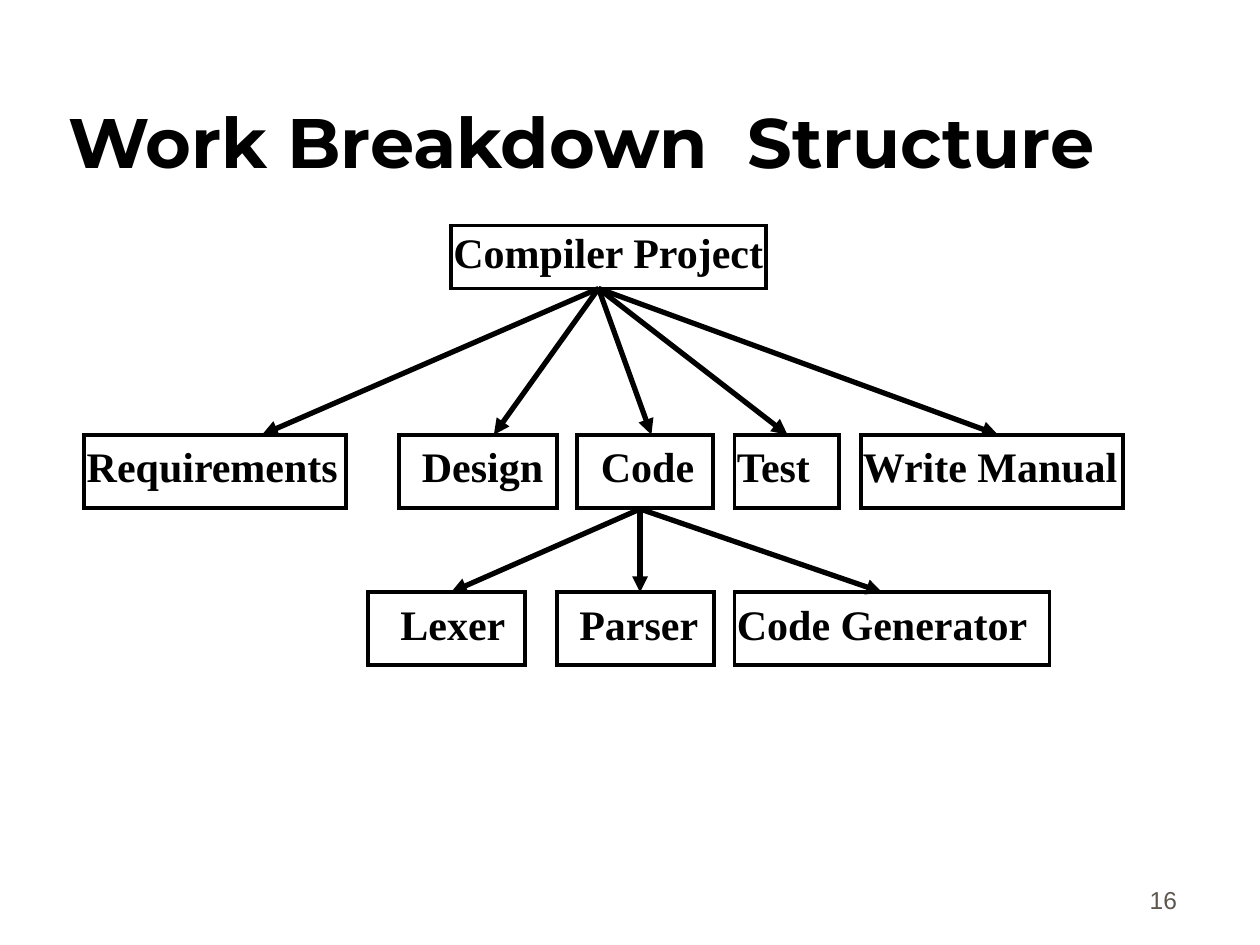
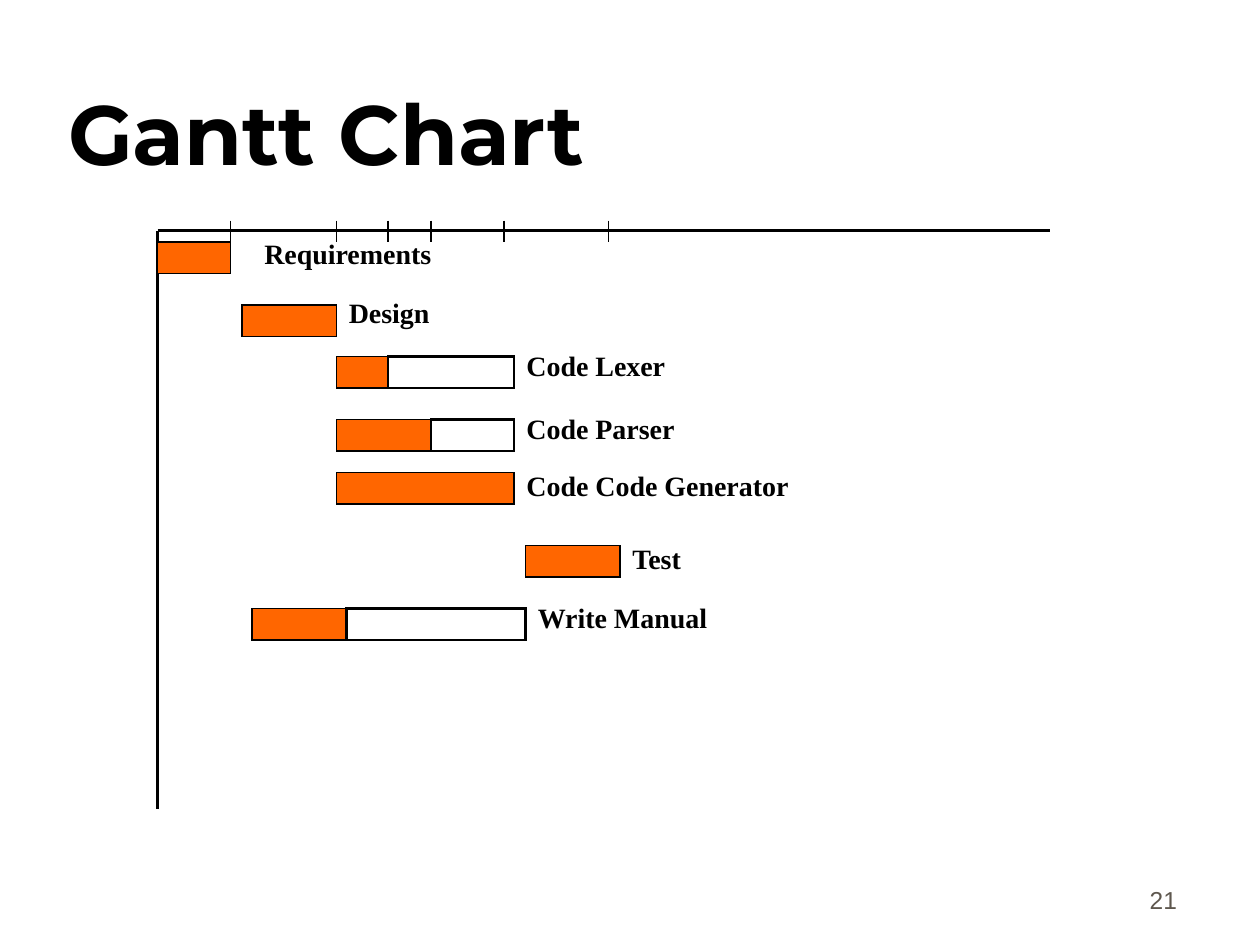
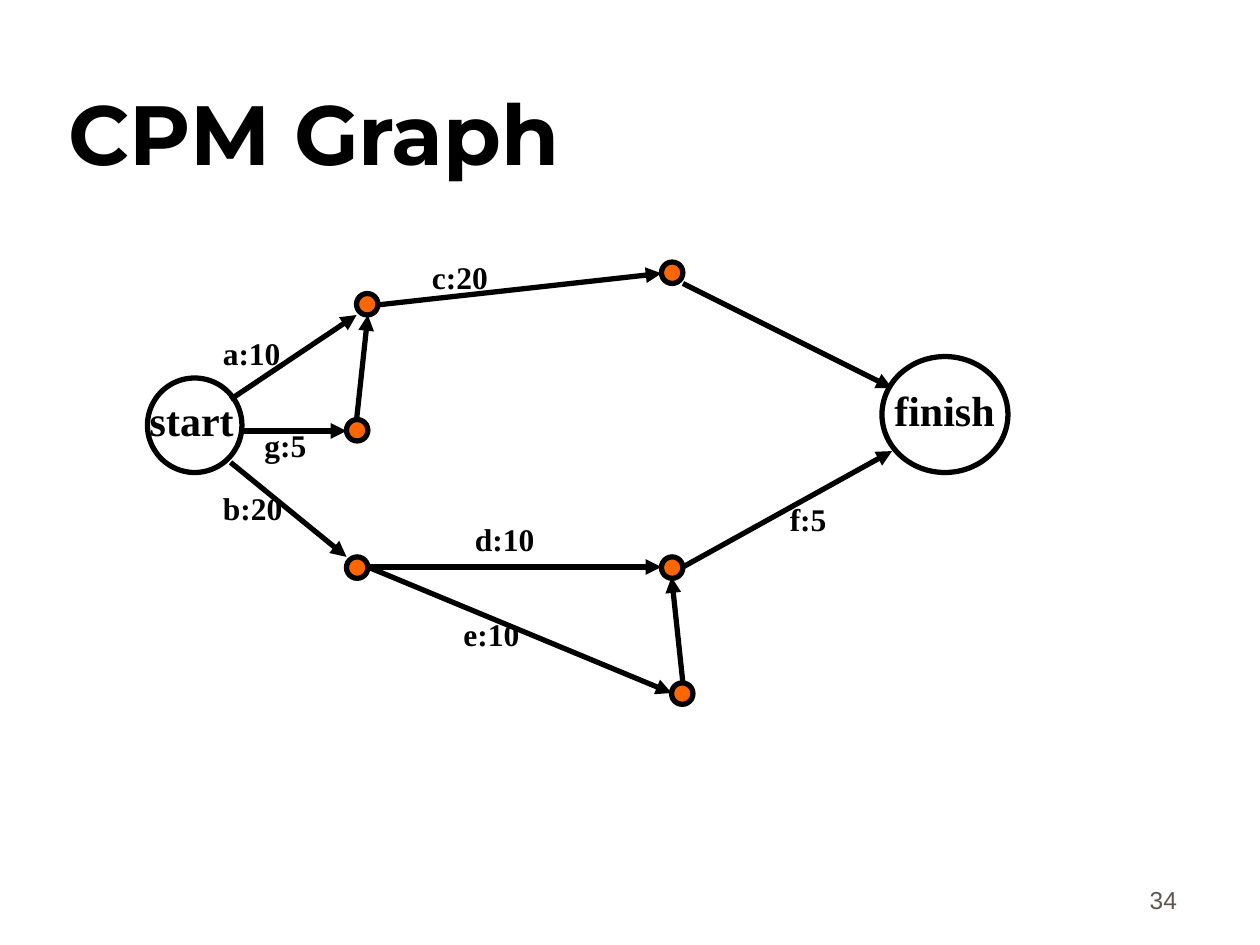
from lxml.etree import SubElement
from pptx import Presentation
from pptx.dml.color import RGBColor
from pptx.enum.shapes import MSO_CONNECTOR, MSO_SHAPE
from pptx.enum.text import MSO_ANCHOR, MSO_AUTO_SIZE, PP_ALIGN
from pptx.oxml.ns import qn
from pptx.util import Inches, Pt

BLACK = "000000"
GRAY = "5E574E"
ORANGE = "FF6600"
TITLE_FONT, LABEL_FONT, NUMBER_FONT = "Montserrat", "Times New Roman", "Arial"
TITLE_ONLY = 5

# Work breakdown: box left, top, width, height; label, label left, label width, wraps
PROJECT_TOP, TASK_TOP, CODE_TOP = 1.79, 3.45, 4.7
WORK_BOXES = [
    ((3.58, PROJECT_TOP, 2.5, 0.5), "Compiler Project", 3.5, 2.67, False),
    ((0.67, TASK_TOP, 2.08, 0.58), "Requirements", 0.59, 2.2, False),
    ((3.17, TASK_TOP, 1.25, 0.58), "Design", 3.25, 1.25, True),
    ((4.58, TASK_TOP, 1.08, 0.58), "Code", 4.67, 1.25, True),
    ((5.83, TASK_TOP, 0.83, 0.58), "Test", 5.75, 1.25, True),
    ((6.83, TASK_TOP, 2.08, 0.58), "Write Manual", 6.75, 2.33, True),
    ((2.92, CODE_TOP, 1.25, 0.58), "Lexer", 3.08, 1.17, True),
    ((4.42, CODE_TOP, 1.25, 0.58), "Parser", 4.5, 1.17, True),
    ((5.83, CODE_TOP, 2.5, 0.58), "Code Generator", 5.75, 2.67, True),
]
# Branch point, arrow tip height, arrow tip positions
BRANCHES = [
    ((4.75, 2.29), TASK_TOP, [2.08, 3.92, 5.17, 6.25, 7.92]),
    ((5.08, 4.04), CODE_TOP, [3.58, 5.08, 7]),
]

# Gantt: task, bar top, start, end of work, end of slack, label left, label top
GANTT_TASKS = [
    ("Requirements", 1.92, 1.25, 1.83, 1.83, 2, 1.83),
    ("Design", 2.42, 1.92, 2.67, 2.67, 2.67, 2.3),
    ("Code Lexer", 2.83, 2.67, 3.08, 4.08, 4.08, 2.72),
    ("Code Parser", 3.33, 2.67, 3.42, 4.08, 4.08, 3.22),
    ("Code Code Generator", 3.75, 2.67, 4.08, 4.08, 4.08, 3.67),
    ("Test", 4.33, 4.17, 4.92, 4.92, 4.92, 4.25),
    ("Write Manual", 4.83, 2, 2.75, 4.17, 4.17, 4.72),
]
BAR_HEIGHT = 0.25
AXIS_ORIGIN = (1.25, 1.83)
AXIS_ENDS = [(1.25, 6.42), (8.33, 1.83)]
TICKS = [1.83, 2.67, 3.08, 3.42, 4, 4.83]

# CPM graph: circle, label, label position
TERMINALS = [
    ((1.17, 3, 0.75, 0.75), "start", (1.09, 3.08, 0.9, 0.5)),
    ((7, 2.83, 1, 0.92), "finish", (7, 3, 1.03, 0.5)),
]
MILESTONES = [(2.75, 4.42), (5.25, 2.08), (5.25, 4.42),
              (5.33, 5.42), (2.83, 2.33), (2.75, 3.33)]
MILESTONE_SIZE = 0.17
# Arrow start, arrow end
ACTIVITIES = [
    ((1.83, 3.67), (2.75, 4.42)),
    ((1.83, 3.17), (2.83, 2.5)),
    ((2.92, 4.5), (5.33, 5.5)),
    ((2.92, 4.5), (5.25, 4.5)),
    ((5.42, 5.42), (5.33, 4.58)),
    ((5.42, 4.5), (7.08, 3.58)),
    ((3, 2.42), (5.25, 2.17)),
    ((5.42, 2.25), (7.08, 3.08)),
    ((1.92, 3.42), (2.75, 3.42)),
    ((2.83, 3.33), (2.92, 2.5)),
]
DURATIONS = [
    ("a:10", 1.67, 2.6), ("c:20", 3.33, 2), ("f:5", 6.17, 3.92),
    ("d:10", 3.67, 4.08), ("e:10", 3.58, 4.83), ("b:20", 1.67, 3.83),
    ("g:5", 2, 3.33),
]


def color(value):
    return RGBColor.from_string(value)


def add_run(paragraph, text, size, font=LABEL_FONT, bold=True, ink=BLACK):
    run = paragraph.add_run()
    run.text = text
    run.font.name = font
    run.font.size = Pt(size)
    run.font.bold = bold
    run.font.color.rgb = color(ink)


def add_text_box(slide, bounds, wraps=True, space_before=0):
    """Add an empty text box and return its frame and first paragraph."""
    frame = slide.shapes.add_textbox(*map(Inches, bounds)).text_frame
    frame.word_wrap = wraps
    paragraph = frame.paragraphs[0]
    paragraph.space_before = Pt(space_before)
    return frame, paragraph


def add_label(slide, text, bounds, size, wraps=True, space_before=0):
    frame, paragraph = add_text_box(slide, bounds, wraps, space_before)
    frame.auto_size = MSO_AUTO_SIZE.SHAPE_TO_FIT_TEXT
    add_run(paragraph, text, size)


def add_outlined(slide, kind, bounds, line_width, fill=None):
    shape = slide.shapes.add_shape(kind, *map(Inches, bounds))
    shape.shadow.inherit = False
    if fill:
        shape.fill.solid()
        shape.fill.fore_color.rgb = color(fill)
    else:
        shape.fill.background()
    shape.line.color.rgb = color(BLACK)
    shape.line.width = Pt(line_width)
    SubElement(shape.line._get_or_add_ln(), qn("a:miter"), lim="800000")


def add_line(slide, start, end, width, arrow=False):
    connector = slide.shapes.add_connector(
        MSO_CONNECTOR.STRAIGHT, *map(Inches, (*start, *end)))
    connector.line.color.rgb = color(BLACK)
    connector.line.width = Pt(width)
    if arrow:
        SubElement(connector.line._get_or_add_ln(), qn("a:tailEnd"), type="triangle")
    SubElement(connector._element.spPr, qn("a:effectLst"))


def add_titled_slide(presentation, title_text, title_size, number):
    slide = presentation.slides.add_slide(presentation.slide_layouts[TITLE_ONLY])
    title = slide.shapes.title
    title.left, title.top, title.width, title.height = map(
        Inches, (0.44, 0.25, 8.5, 1.25))
    frame = title.text_frame
    frame.auto_size = MSO_AUTO_SIZE.NONE
    frame.vertical_anchor = MSO_ANCHOR.BOTTOM
    frame.paragraphs[0].alignment = PP_ALIGN.LEFT
    add_run(frame.paragraphs[0], title_text, title_size, TITLE_FONT)

    frame, paragraph = add_text_box(slide, (7.36, 6.81, 2.08, 0.5), space_before=8.8)
    frame.vertical_anchor = MSO_ANCHOR.BOTTOM
    paragraph.alignment = PP_ALIGN.RIGHT
    add_run(paragraph, str(number), 14, NUMBER_FONT, False, GRAY)
    return slide


def build_work_breakdown(presentation):
    slide = add_titled_slide(presentation, "Work Breakdown  Structure", 40, 16)
    for box, text, label_left, label_width, wraps in WORK_BOXES:
        label_top = 1.75 if box[1] == PROJECT_TOP else box[1]
        add_label(slide, text, (label_left, label_top, label_width, 0.5), 24, wraps)
        add_outlined(slide, MSO_SHAPE.RECTANGLE, box, 2.25)
    for origin, tip_top, tips in BRANCHES:
        for tip in tips:
            add_line(slide, origin, (tip, tip_top), 3, arrow=True)


def build_gantt_chart(presentation):
    slide = add_titled_slide(presentation, "Gantt Chart", 48, 21)
    for end in AXIS_ENDS:
        add_line(slide, AXIS_ORIGIN, end, 1.5)
    for task, top, start, work_end, slack_end, label_left, label_top in GANTT_TASKS:
        add_outlined(slide, MSO_SHAPE.RECTANGLE,
                     (start, top, work_end - start, BAR_HEIGHT), 0.75, ORANGE)
        if slack_end > work_end:
            add_outlined(slide, MSO_SHAPE.RECTANGLE,
                         (work_end, top, slack_end - work_end, BAR_HEIGHT), 1.5)
        label_width = 2.58 if task == "Code Code Generator" else 2.17
        add_label(slide, task, (label_left, label_top, label_width, 0.37), 16,
                  space_before=10)
    for tick in TICKS:
        add_line(slide, (tick, 1.75), (tick, 1.92), 0.75)


def build_cpm_graph(presentation):
    slide = add_titled_slide(presentation, "CPM Graph", 48, 34)
    for circle, text, label_bounds in TERMINALS:
        add_outlined(slide, MSO_SHAPE.OVAL, circle, 3)
        add_label(slide, text, label_bounds, 24)
    for left, top in MILESTONES:
        add_outlined(slide, MSO_SHAPE.OVAL,
                     (left, top, MILESTONE_SIZE, MILESTONE_SIZE), 3, ORANGE)
    for start, end in ACTIVITIES:
        add_line(slide, start, end, 3, arrow=True)
    for text, left, top in DURATIONS:
        add_label(slide, text, (left, top, 0.83, 0.4), 18, space_before=11.2)


def main():
    presentation = Presentation()
    presentation.slide_width = Inches(10)
    presentation.slide_height = Inches(7.5)
    build_work_breakdown(presentation)
    build_gantt_chart(presentation)
    build_cpm_graph(presentation)
    presentation.save("out.pptx")


if __name__ == "__main__":
    main()
